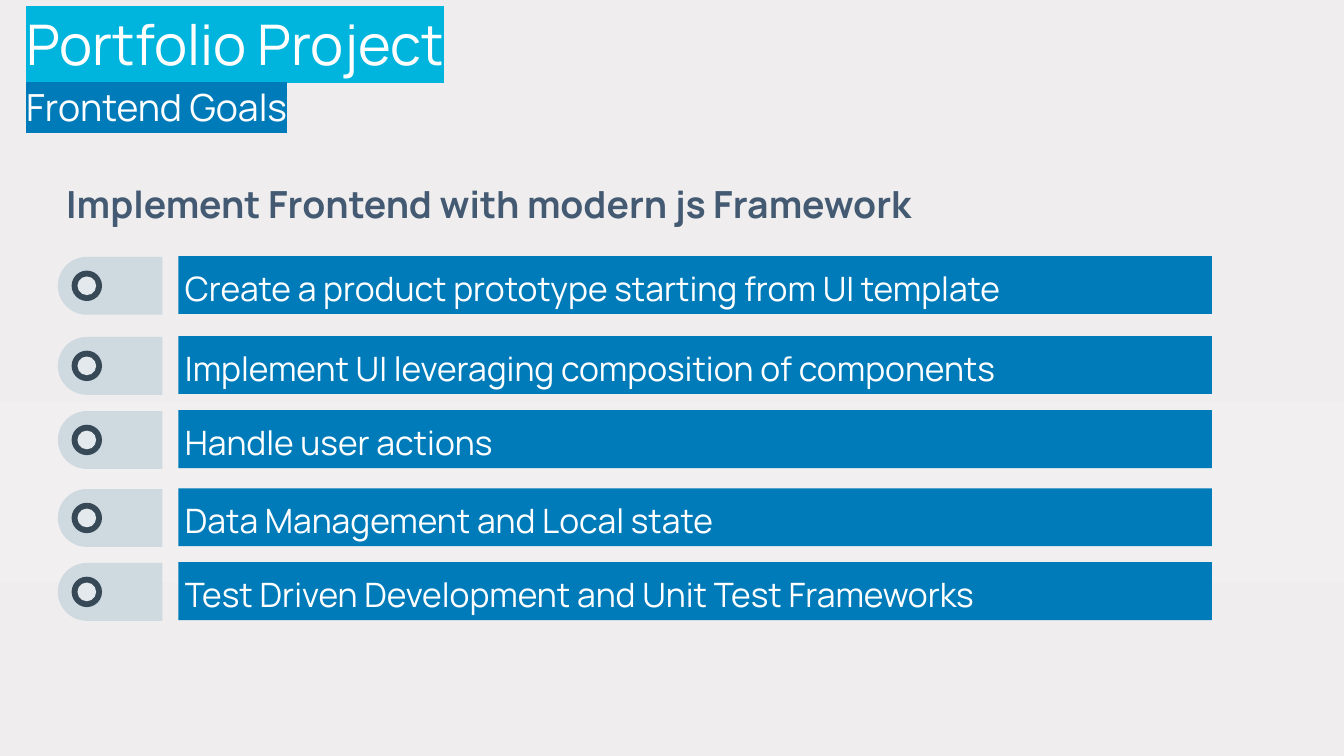
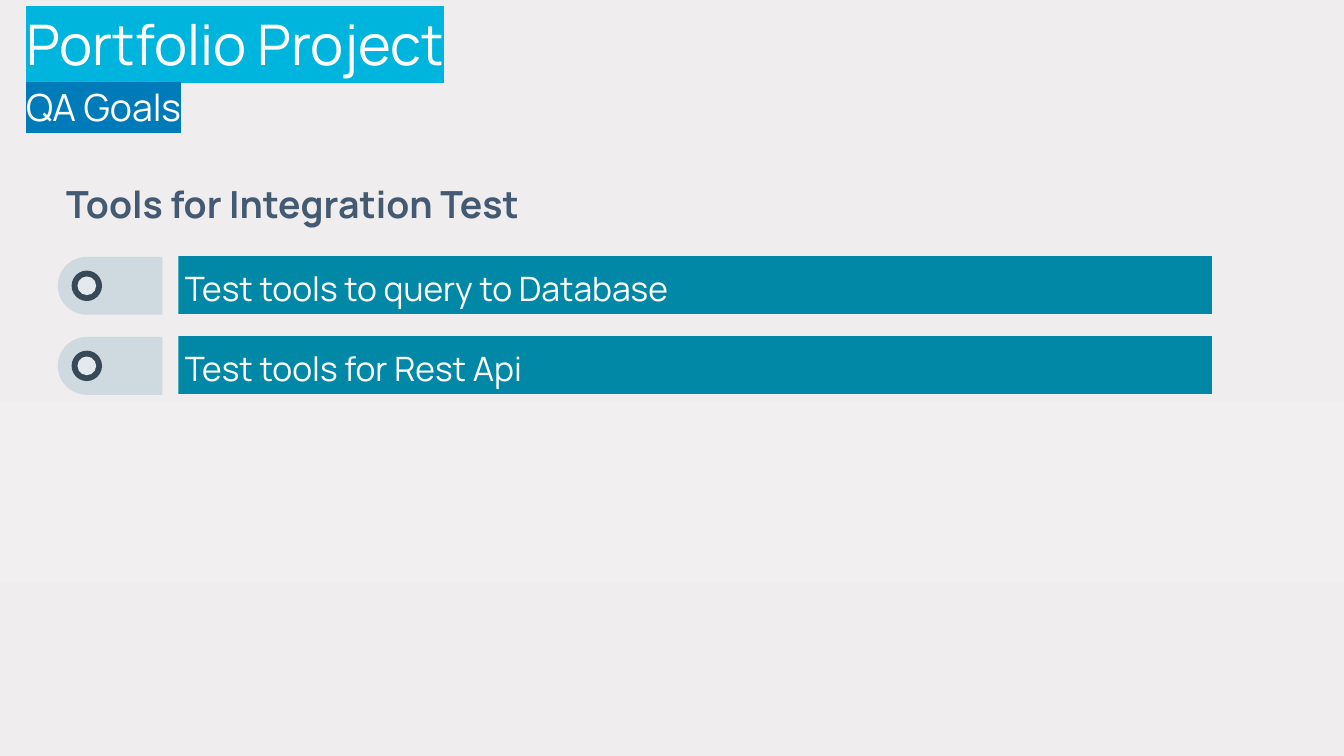
"""Build two goal slides that share a title block, a heading and a list of bars."""
from pptx import Presentation
from pptx.dml.color import RGBColor
from pptx.enum.shapes import MSO_SHAPE
from pptx.enum.text import MSO_ANCHOR
from pptx.oxml import parse_xml
from pptx.oxml.ns import nsdecls
from pptx.util import Pt

FONT = "Manrope"
COLORS = {
    "white": "FFFFFF", "cyan": "00B5DD", "blue": "007BB9", "teal": "0088A6",
    "heading": "435A72", "tab": "CFD9E0", "ring": "374957", "hole": "E3E9ED",
}
BACKGROUND = [(0, "EFEDEE"), (53, "F1EFF0"), (77, "EFEDEE"), (100, "EFEBEC")]
ROW_TOPS = [137.6, 180.5, 220.2, 262, 301.6]
ROW_LEFT, ROW_WIDTH, ROW_HEIGHT = 31, 618.3, 31

GOALS = [
    ("Frontend Goals", "Implement Frontend with modern js Framework", "blue", [
        "Create a product prototype starting from UI template",
        "Implement UI leveraging composition of components",
        "Handle user actions",
        "Data Management and Local state",
        "Test Driven Development and Unit Test Frameworks",
    ]),
    ("QA Goals", "Tools for Integration Test", "teal", [
        "Test tools to query to Database",
        "Test tools for Rest Api",
    ]),
]


def set_background(s):
    stops = "".join(f'<a:gs pos="{pos * 1000}"><a:srgbClr val="{color}"/></a:gs>'
                    for pos, color in BACKGROUND)
    bg = parse_xml(f'<p:bg {nsdecls("p", "a")}><p:bgPr><a:gradFill rotWithShape="1">'
                   f'<a:gsLst>{stops}</a:gsLst><a:lin ang="5400000" scaled="0"/>'
                   '</a:gradFill><a:effectLst/></p:bgPr></p:bg>')
    s._element.cSld.insert(0, bg)


def add_filled(shapes, kind, x, y, w, h, color):
    sp = shapes.add_shape(kind, Pt(x), Pt(y), Pt(w), Pt(h))
    sp.shadow.inherit = False
    sp.fill.solid()
    sp.fill.fore_color.rgb = RGBColor.from_string(COLORS[color])
    sp.line.fill.background()
    return sp


def add_frame(s, x, y, w, h, anchor):
    tf = s.shapes.add_textbox(Pt(x), Pt(y), Pt(w), Pt(h)).text_frame
    tf.word_wrap = True
    tf.vertical_anchor = anchor
    tf.margin_left = tf.margin_top = tf.margin_right = tf.margin_bottom = 0
    return tf


def add_run(p, text, size, color, spacing, bold=False, highlight=None):
    p.line_spacing = spacing
    r = p.add_run()
    r.text = text
    r.font.size = Pt(size)
    r.font.bold = bold
    r.font.name = FONT
    r.font.color.rgb = RGBColor.from_string(COLORS[color])
    if highlight:
        mark = parse_xml(f'<a:highlight {nsdecls("a")}>'
                         f'<a:srgbClr val="{COLORS[highlight]}"/></a:highlight>')
        r.font._element.solidFill.addnext(mark)


def add_title(s, x, y, w, h, subtitle):
    tf = add_frame(s, x, y, w, h, MSO_ANCHOR.TOP)
    add_run(tf.paragraphs[0], "Portfolio Project", 30, "white", 1.15, highlight="cyan")
    add_run(tf.add_paragraph(), subtitle, 20, "white", 1.15, highlight="blue")


def add_heading(s, x, y, w, h, text):
    tf = add_frame(s, x, y, w, h, MSO_ANCHOR.MIDDLE)
    tf.margin_left = Pt(4.5)
    add_run(tf.paragraphs[0], text, 20, "heading", 1.1, bold=True)


def add_tab(s, x, y, w, h):
    shapes = s.shapes.add_group_shape().shapes
    tab = add_filled(shapes, MSO_SHAPE.ROUND_2_SAME_RECTANGLE,
                     x + (w - h) / 2, y - (w - h) / 2, h, w, "tab")
    tab.adjustments[0] = 0.5
    tab.rotation = 270
    for size, color in [(16.3, "ring"), (10, "hole")]:
        add_filled(shapes, MSO_SHAPE.OVAL, x + (h - size) / 2, y + (h - size) / 2,
                   size, size, color)


def add_goal_row(s, x, y, w, h, text, color):
    bar_x = x + 64.6
    add_filled(s.shapes, MSO_SHAPE.RECTANGLE, bar_x, y - 0.4, w - 64.6, h, color)
    tf = add_frame(s, bar_x + 3.5, y, w - 80, h, MSO_ANCHOR.MIDDLE)
    add_run(tf.paragraphs[0], text, 18, "white", 1.1)
    add_tab(s, x, y, 56, h)


def add_goal_slide(prs, subtitle, heading, color, goals):
    s = prs.slides.add_slide(prs.slide_layouts[6])
    set_background(s)
    add_title(s, 14, 0, 420, 80, subtitle)
    add_heading(s, ROW_LEFT, 92.2, 476, ROW_HEIGHT, heading)
    for top, goal in zip(ROW_TOPS, goals):
        add_goal_row(s, ROW_LEFT, top, ROW_WIDTH, ROW_HEIGHT, goal, color)


def main():
    prs = Presentation()
    prs.slide_width, prs.slide_height = Pt(720), Pt(405)
    for content in GOALS:
        add_goal_slide(prs, *content)
    prs.save("out.pptx")


if __name__ == "__main__":
    main()
